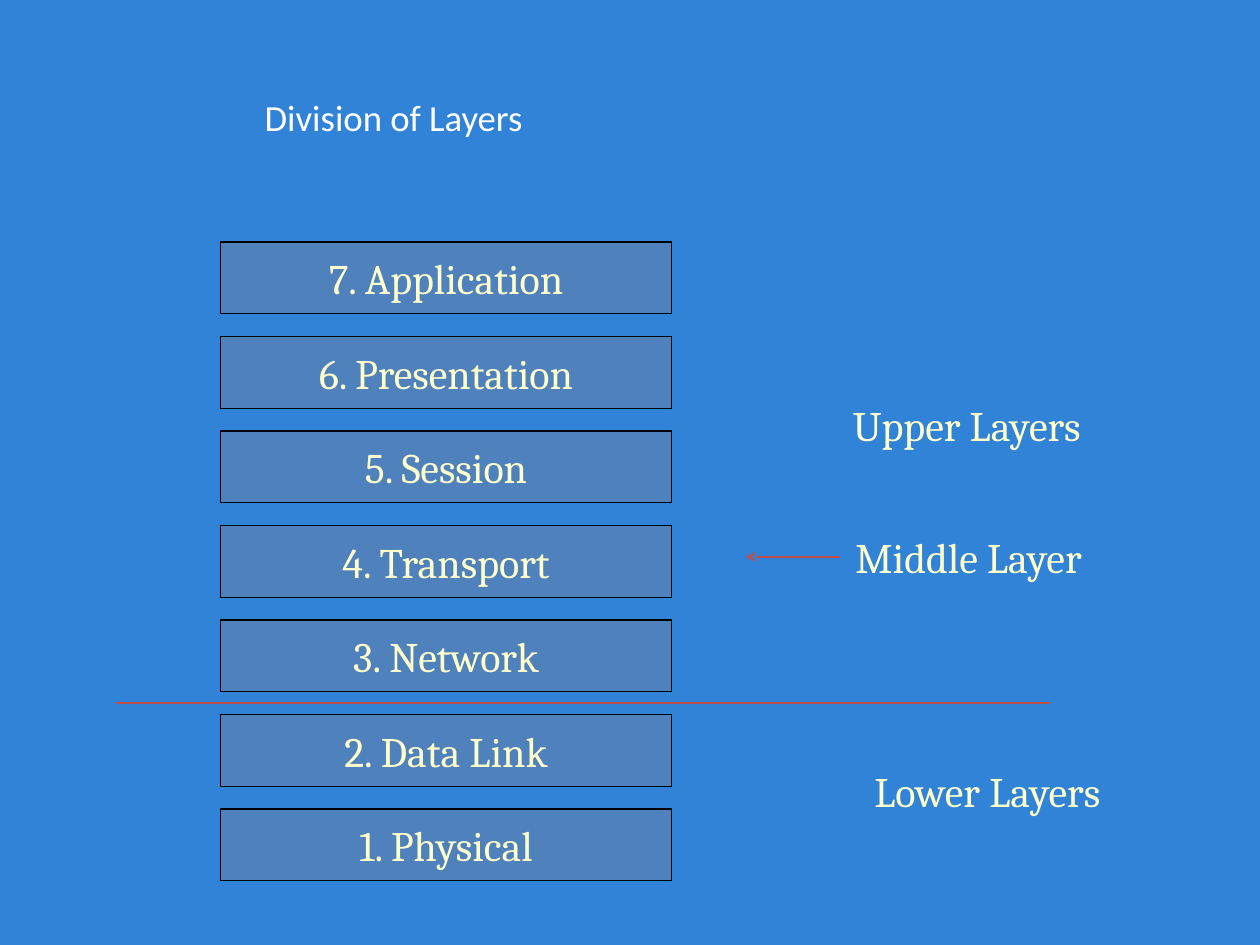
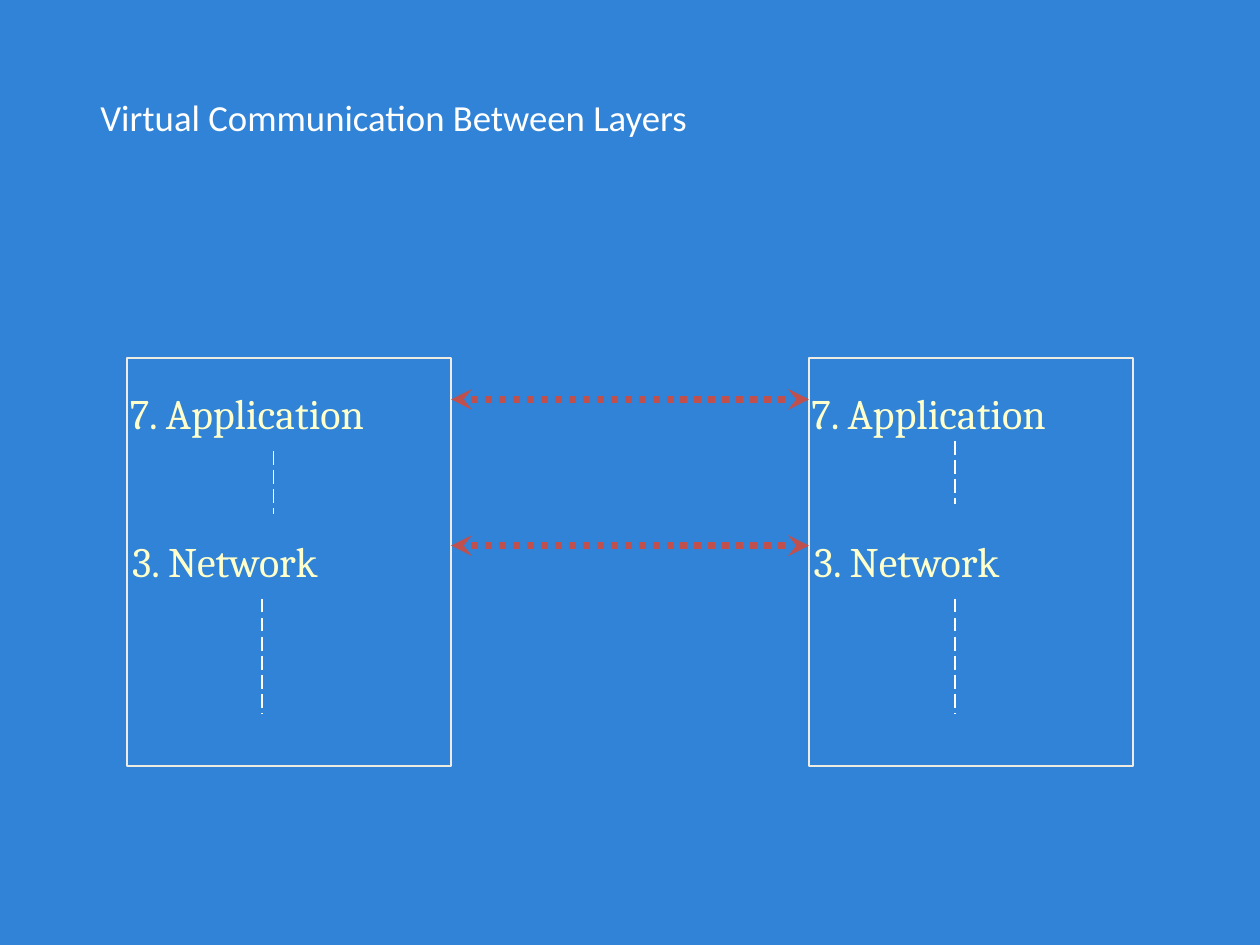
import pptx
import pptx.dml.color
import pptx.enum.dml
import pptx.enum.shapes
import pptx.enum.text
import pptx.oxml
import pptx.oxml.ns
import pptx.util

Inches = pptx.util.Inches
RGBColor = pptx.dml.color.RGBColor
Dash = pptx.enum.dml.MSO_LINE
Align = pptx.enum.text.PP_ALIGN
Anchor = pptx.enum.text.MSO_ANCHOR

# Content
DIVISION_TITLE = "Division of Layers"
LAYERS = ["7. Application", "6. Presentation", "5. Session", "4. Transport",
          "3. Network", "2. Data Link", "1. Physical"]
GROUPS = [("Upper Layers", 6.67, 3.12, 2.34),
          ("Lower Layers", 6.84, 6.03, 2.38),
          ("Middle Layer", 6.69, 4.17, 2.32)]

VIRTUAL_TITLE = "Virtual Communication Between Layers"
# Label, offset from the host's left edge, top, width, height of its link
HOST_LAYERS = [("7. Application", -0.08, 3.03, 2.4, 3.17),
               ("3. Network", -0.06, 4.2, 1.94, 4.33)]
# Left edge of each host and the (x, top, bottom) of its dashed gaps
HOSTS = [(1.01, [(2.17, 3.58, 4.08), (2.08, 4.75, 5.67)]),
         (6.42, [(7.58, 3.5, 4), (7.58, 4.75, 5.67)])]

# Style
BACKGROUND = RGBColor(0x30, 0x83, 0xD6)
WHITE = RGBColor(0xFF, 0xFF, 0xFF)
BLACK = RGBColor(0x00, 0x00, 0x00)
CREAM = RGBColor(0xFF, 0xFF, 0xCC)
LAYER_FILL = RGBColor(0x4F, 0x81, 0xBD)
HOST_LINE = RGBColor(0xEE, 0xEC, 0xE1)
RED = RGBColor(0xC0, 0x50, 0x4D)

# Geometry in inches
LAYER_LEFT, LAYER_TOP, LAYER_PITCH = 1.75, 1.92, 0.75
LAYER_WIDTH, LAYER_HEIGHT = 3.58, 0.57
LABEL_HEIGHT = 0.5
HOST_TOP, HOST_WIDTH, HOST_HEIGHT = 2.84, 2.57, 3.24


def write(shape, text, size=24, font="Cambria", color=CREAM,
          align=Align.LEFT, anchor=Anchor.TOP, wrap=False):
    frame = shape.text_frame
    frame.text = text
    frame.word_wrap = wrap
    frame.vertical_anchor = anchor
    paragraph = frame.paragraphs[0]
    paragraph.alignment = align
    paragraph.font.size = pptx.util.Pt(size)
    paragraph.font.name = font
    paragraph.font.color.rgb = color


def add_titled_slide(deck, title):
    slide = deck.slides.add_slide(deck.slide_layouts[5])
    heading = slide.shapes.title
    heading.left, heading.top = Inches(0.5), Inches(0.3)
    heading.width, heading.height = Inches(5.25), Inches(1.25)
    write(heading, title, size=21, font="Calibri", color=WHITE,
          align=Align.CENTER, anchor=Anchor.MIDDLE, wrap=True)
    return slide


def add_label(slide, text, left, top, width):
    label = slide.shapes.add_textbox(Inches(left), Inches(top),
                                     Inches(width), Inches(LABEL_HEIGHT))
    write(label, text)
    label.text_frame.auto_size = pptx.enum.text.MSO_AUTO_SIZE.SHAPE_TO_FIT_TEXT


def add_box(slide, left, top, width, height, line, weight, fill=None):
    box = slide.shapes.add_shape(pptx.enum.shapes.MSO_SHAPE.RECTANGLE,
                                 Inches(left), Inches(top),
                                 Inches(width), Inches(height))
    box.shadow.inherit = False
    if fill is None:
        box.fill.background()
    else:
        box.fill.solid()
        box.fill.fore_color.rgb = fill
    box.line.color.rgb = line
    box.line.width = pptx.util.Pt(weight)
    return box


def add_line(slide, start, end, color, weight=1, dash=None, arrows=()):
    """Draw a line; arrows names its pointed ends, headEnd before tailEnd."""
    line = slide.shapes.add_connector(
        pptx.enum.shapes.MSO_CONNECTOR.STRAIGHT,
        *(Inches(value) for value in (*start, *end)))
    line.line.color.rgb = color
    line.line.width = pptx.util.Pt(weight)
    if dash is not None:
        line.line.dash_style = dash
    outline = line.line._get_or_add_ln()
    for end_name in arrows:
        arrow = pptx.oxml.parse_xml(
            f'<a:{end_name} {pptx.oxml.ns.nsdecls("a")} type="stealth"/>')
        outline.append(arrow)
    outline.getparent().append(pptx.oxml.parse_xml(
        f'<a:effectLst {pptx.oxml.ns.nsdecls("a")}/>'))


def build_division(deck):
    slide = add_titled_slide(deck, DIVISION_TITLE)
    add_line(slide, (0.92, 5.58), (8.33, 5.58), RED)
    for group in GROUPS:
        add_label(slide, *group)
    add_line(slide, (5.92, 4.42), (6.67, 4.42), RED, arrows=["headEnd"])
    for row, layer in enumerate(LAYERS):
        box = add_box(slide, LAYER_LEFT, LAYER_TOP + row * LAYER_PITCH,
                      LAYER_WIDTH, LAYER_HEIGHT, BLACK, 0.75, LAYER_FILL)
        write(box, layer, align=Align.CENTER, anchor=Anchor.MIDDLE)


def build_virtual(deck):
    slide = add_titled_slide(deck, VIRTUAL_TITLE)
    for left, gaps in HOSTS:
        add_box(slide, left, HOST_TOP, HOST_WIDTH, HOST_HEIGHT, HOST_LINE, 1)
        for layer, offset, top, width, _ in HOST_LAYERS:
            add_label(slide, layer, left + offset, top, width)
        for x, gap_top, gap_bottom in gaps:
            add_line(slide, (x, gap_top), (x, gap_bottom), WHITE,
                     dash=Dash.LONG_DASH)
    link_start, link_end = HOSTS[0][0] + HOST_WIDTH, HOSTS[1][0]
    for *_, y in HOST_LAYERS:
        add_line(slide, (link_start, y), (link_end, y), RED, weight=4,
                 dash=Dash.ROUND_DOT, arrows=["headEnd", "tailEnd"])


def main():
    deck = pptx.Presentation()
    deck.slide_width, deck.slide_height = Inches(10), Inches(7.5)
    backdrop = deck.slide_master.background.fill
    backdrop.solid()
    backdrop.fore_color.rgb = BACKGROUND
    build_division(deck)
    build_virtual(deck)
    deck.save("out.pptx")


if __name__ == "__main__":
    main()
